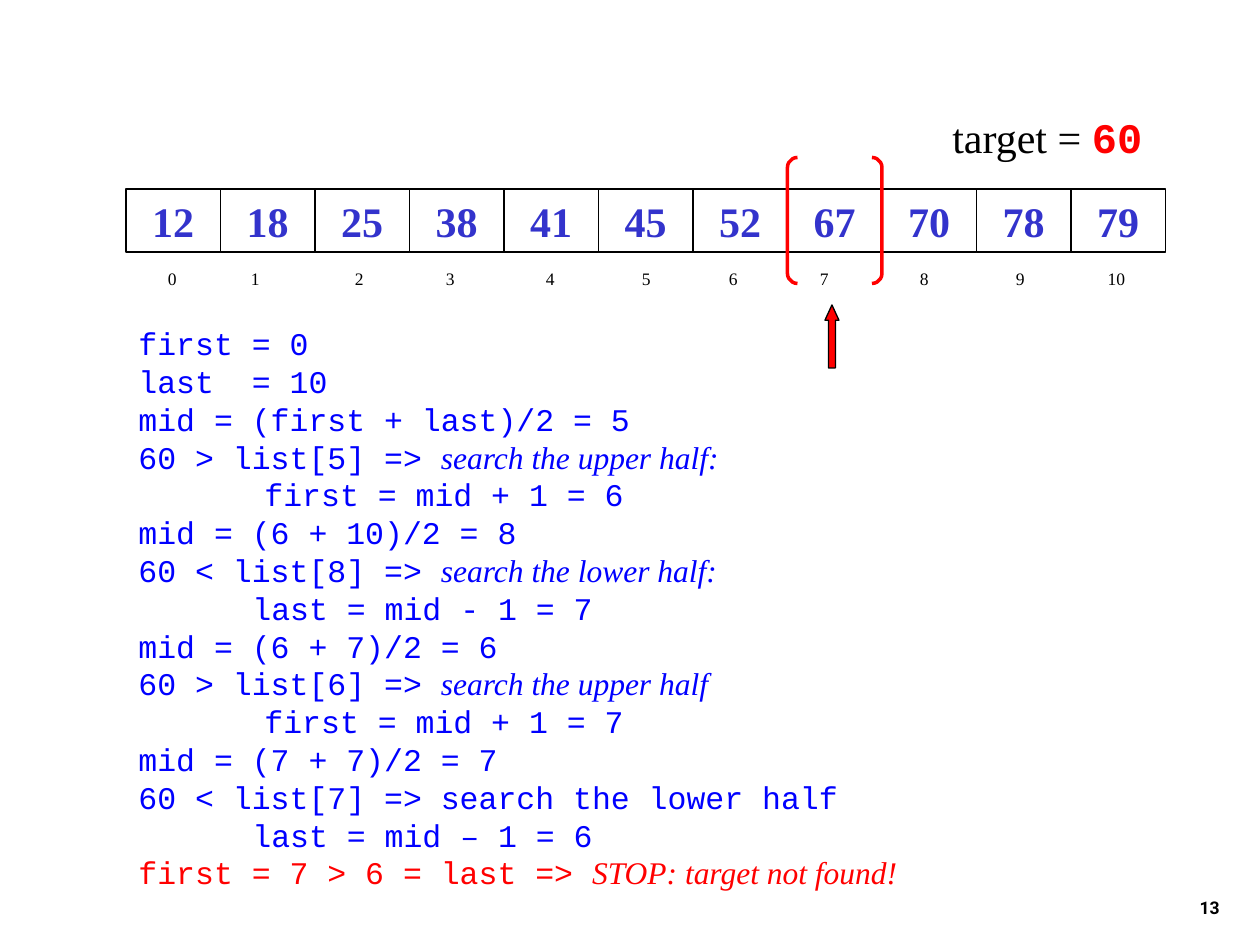
from dataclasses import dataclass

from lxml import etree
from pptx import Presentation
from pptx.dml.color import RGBColor
from pptx.enum.shapes import MSO_SHAPE
from pptx.enum.text import MSO_ANCHOR, PP_ALIGN
from pptx.oxml.ns import qn
from pptx.util import Pt

RECT, UP_ARROW = MSO_SHAPE.RECTANGLE, MSO_SHAPE.UP_ARROW
LEFT_BRACKET, RIGHT_BRACKET = MSO_SHAPE.LEFT_BRACKET, MSO_SHAPE.RIGHT_BRACKET
TOP, MIDDLE, BOTTOM = MSO_ANCHOR.TOP, MSO_ANCHOR.MIDDLE, MSO_ANCHOR.BOTTOM
LEFT, CENTER, RIGHT = PP_ALIGN.LEFT, PP_ALIGN.CENTER, PP_ALIGN.RIGHT
EMU_PER_PX = 914400 // 126


@dataclass(frozen=True)
class Theme:
    serif: str = "Times New Roman"
    mono: str = "Courier New"
    sans: str = "Roboto"
    ink: str = "000000"
    paper: str = "FFFFFF"
    value: str = "3333CC"
    code: str = "0000FF"
    accent: str = "FF0000"
    small: int = 10
    body: int = 18
    large: int = 24
    code_leading: float = 21.6


THEME = Theme()
VALUES = (12, 18, 25, 38, 41, 45, 52, 67, 70, 78, 79)
INDEX_CENTERS = (173, 256, 360, 451, 551, 647, 734, 825, 925, 1021, 1117)
CELL_W, CELL_H = 94.5, 63
ARRAY_X, ARRAY_Y = 126, 189
PROBED = 7

# Each step: indent in px, code, remark in italics
STEPS = (
    (0, "first = 0", ""),
    (0, "last  = 10", ""),
    (0, "mid = (first + last)/2 = 5", ""),
    (0, "60 > list[5] => ", "search the upper half:"),
    (126, "first = mid + 1 = 6", ""),
    (0, "mid = (6 + 10)/2 = 8", ""),
    (0, "60 < list[8] => ", "search the lower half:"),
    (114, "last = mid - 1 = 7", ""),
    (0, "mid = (6 + 7)/2 = 6", ""),
    (0, "60 > list[6] => ", "search the upper half"),
    (126, "first = mid + 1 = 7", ""),
    (0, "mid = (7 + 7)/2 = 7", ""),
    (0, "60 < list[7] => search the lower half", ""),
    (114, "last = mid – 1 = 6", ""),
    (0, "first = 7 > 6 = last => ", "STOP: target not found!"),
)


def px(n):
    return round(n * EMU_PER_PX)


def rgb(color):
    return RGBColor.from_string(color)


def add_run(p, text, font, size, color, bold=False, italic=False):
    r = p.add_run()
    r.text = text
    r.font.name, r.font.size = font, Pt(size)
    r.font.bold, r.font.italic = bold, italic
    r.font.color.rgb = rgb(color)


def add_text_box(slide, box, align=LEFT, anchor=TOP, wrap=True):
    """Add an empty text box and return its text frame."""
    tf = slide.shapes.add_textbox(*map(px, box)).text_frame
    tf.word_wrap, tf.vertical_anchor = wrap, anchor
    tf.paragraphs[0].alignment = align
    return tf


def add_shape(slide, kind, box, fill=None, line=None, width=0.75):
    sp = slide.shapes.add_shape(kind, *map(px, box))
    sp.shadow.inherit = False
    if fill:
        sp.fill.solid()
        sp.fill.fore_color.rgb = rgb(fill)
    else:
        sp.fill.background()
    if line:
        sp.line.color.rgb = rgb(line)
        sp.line.width = Pt(width)
    else:
        sp.line.fill.background()
    return sp


def add_cell(slide, index, value):
    box = (ARRAY_X + index * CELL_W, ARRAY_Y, CELL_W, CELL_H)
    tf = add_shape(slide, RECT, box, line=THEME.ink).text_frame
    tf.word_wrap, tf.vertical_anchor = False, MIDDLE
    p = tf.paragraphs[0]
    p.alignment = CENTER
    add_run(p, str(value), THEME.serif, THEME.large, THEME.value, bold=True)


def add_index_row(slide):
    """Write the indices on one line, each at its own centred tab stop."""
    left, inset = 152, 13
    sp = add_shape(slide, RECT, (left, 262, 1013, 32), fill=THEME.paper)
    tf = sp.text_frame
    tf.vertical_anchor = TOP
    p = tf.paragraphs[0]
    p.alignment = LEFT
    tabs = etree.SubElement(p._p.get_or_add_pPr(), qn("a:tabLst"))
    for index, center in enumerate(INDEX_CENTERS):
        etree.SubElement(tabs, qn("a:tab"), pos=str(px(center - left - inset)), algn="ctr")
        add_run(p, f"\t{index}", THEME.serif, THEME.small, THEME.ink)


def add_brackets(slide, index):
    """Bracket one cell of the array."""
    w, overhang = 10, 31.5
    left = ARRAY_X + index * CELL_W
    for kind, x in ((LEFT_BRACKET, left), (RIGHT_BRACKET, left + CELL_W - w)):
        box = (x, ARRAY_Y - overhang, w, CELL_H + 2 * overhang)
        sp = add_shape(slide, kind, box, line=THEME.accent, width=2)
        sp.adjustments[0] = 1


def add_trace(slide):
    tf = add_text_box(slide, (126, 318, 903, 580))
    for i, (indent, code, remark) in enumerate(STEPS):
        p = tf.add_paragraph() if i else tf.paragraphs[0]
        p.line_spacing = Pt(THEME.code_leading)
        p._p.get_or_add_pPr().set("marL", str(px(indent)))
        color = THEME.accent if i == len(STEPS) - 1 else THEME.code
        add_run(p, code, THEME.mono, THEME.body, color)
        if remark:
            add_run(p, remark, THEME.serif, THEME.body, color, italic=True)


def main():
    prs = Presentation()
    prs.slide_width, prs.slide_height = px(1260), px(945)
    slide = prs.slides.add_slide(prs.slide_layouts[6])

    tf = add_text_box(slide, (970, 861, 262, 63), RIGHT, BOTTOM)
    add_run(tf.paragraphs[0], "13", THEME.sans, THEME.small, THEME.ink, bold=True)

    add_trace(slide)
    arrow = add_shape(slide, UP_ARROW, (825, 305, 14, 63), THEME.accent, THEME.ink)
    arrow.adjustments[1] = 1.09

    add_index_row(slide)
    for index, value in enumerate(VALUES):
        add_cell(slide, index, value)
    add_brackets(slide, PROBED)

    p = add_text_box(slide, (940, 105, 215, 63), wrap=False).paragraphs[0]
    add_run(p, "target = ", THEME.serif, THEME.large, THEME.ink)
    add_run(p, "60", THEME.mono, THEME.large, THEME.accent, bold=True)

    prs.save("out.pptx")


if __name__ == "__main__":
    main()
